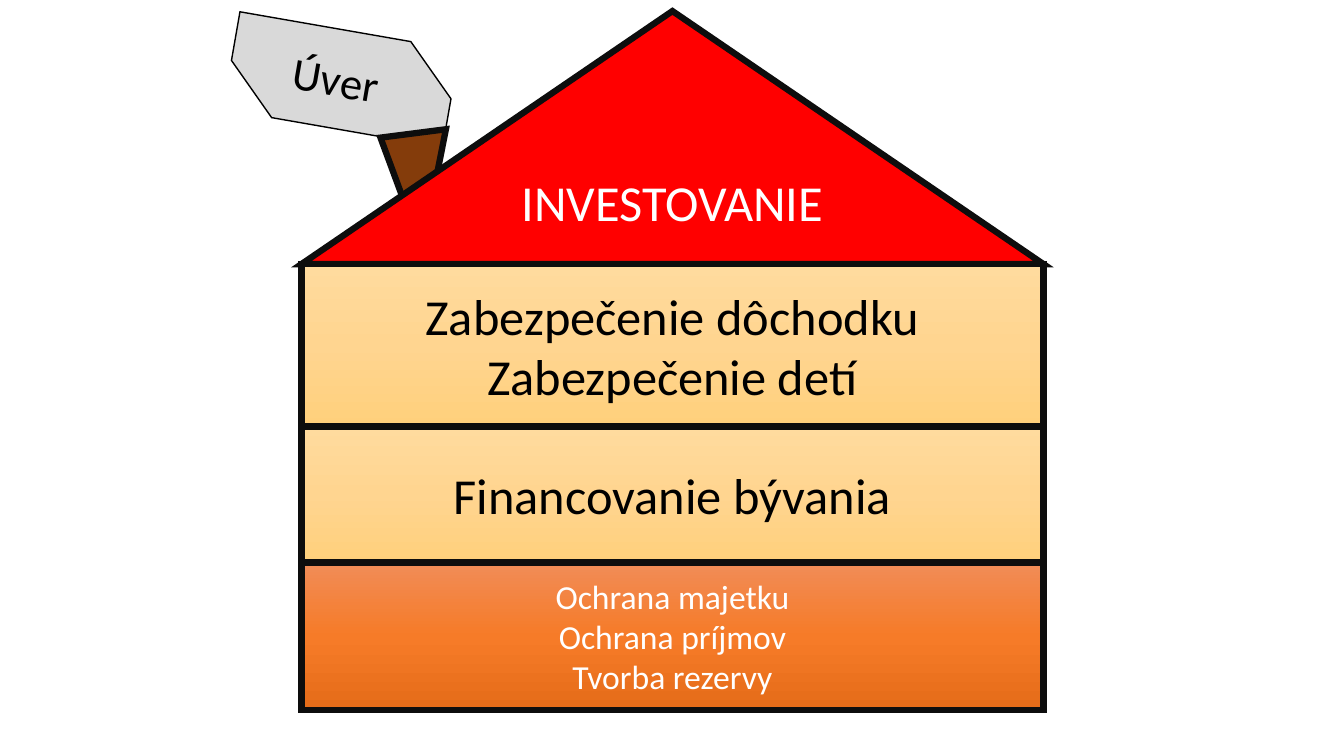
"""Build a slide showing personal finance as a house of stacked floors."""
from copy import deepcopy
from dataclasses import dataclass
from itertools import accumulate

from lxml.etree import SubElement
from pptx import Presentation
from pptx.dml.color import RGBColor
from pptx.dml.fill import FillFormat
from pptx.enum.shapes import MSO_SHAPE
from pptx.enum.text import MSO_ANCHOR, PP_ALIGN
from pptx.oxml.ns import qn
from pptx.slide import Slide
from pptx.util import Inches, Pt

SLIDE_WIDTH, SLIDE_HEIGHT = Inches(13.33), Inches(7.5)
HOUSE_LEFT, HOUSE_WIDTH = 22.43, 55.21
ROOF_TOP = 1.47
STOREY_HEIGHTS = (33.47, 21.47, 18, 19.47)
OUTLINE = "0D0D0D"
WALL = ("FFDB9E", "FFD590", "FFD07C")
BASE = ("F18C57", "F67B28", "E56C19")


@dataclass
class Part:
    """A piece of the house, placed in percent of the slide's size."""
    kind: MSO_SHAPE
    left: float
    top: float
    width: float
    height: float
    fill: tuple[str, ...]
    lines: tuple[str, ...] = ()
    size: int = 36
    ink: str = "000000"
    rotation: float = 0
    adjustments: tuple[float, ...] = ()
    outline: str = OUTLINE
    weight: float = 4.5
    first_indent: float = 0


def color(code: str) -> RGBColor:
    """Turn a hex string into a colour."""
    return RGBColor.from_string(code)


def storey(level: int, kind: MSO_SHAPE, fill: tuple[str, ...],
           lines: tuple[str, ...], **options) -> Part:
    """Describe a full-width storey, counted from the roof down."""
    tops = list(accumulate(STOREY_HEIGHTS, initial=ROOF_TOP))
    return Part(kind, HOUSE_LEFT, tops[level], HOUSE_WIDTH,
                STOREY_HEIGHTS[level], fill, lines, **options)


def paint(fill: FillFormat, codes: tuple[str, ...]) -> None:
    """Fill with one colour or with an even top-to-bottom gradient."""
    if len(codes) == 1:
        fill.solid()
        fill.fore_color.rgb = color(codes[0])
        return
    fill.gradient()
    fill.gradient_angle = 270
    stops = fill._xPr.find(qn("a:gradFill")).find(qn("a:gsLst"))
    while len(stops) < len(codes):
        stops.append(deepcopy(stops[0]))
    for index, (stop, code) in enumerate(zip(fill.gradient_stops, codes)):
        stop.color.rgb = color(code)
        stop.position = index / (len(codes) - 1)


def draw(page: Slide, part: Part) -> None:
    """Draw one part with its outline and centred text."""
    box = page.shapes.add_shape(
        part.kind,
        round(SLIDE_WIDTH * part.left / 100), round(SLIDE_HEIGHT * part.top / 100),
        round(SLIDE_WIDTH * part.width / 100), round(SLIDE_HEIGHT * part.height / 100))
    box.shadow.inherit = False
    box.rotation = part.rotation
    for index, value in enumerate(part.adjustments):
        box.adjustments[index] = value
    paint(box.fill, part.fill)
    box.line.width = Pt(part.weight)
    box.line.color.rgb = color(part.outline)
    SubElement(box.line._ln, qn("a:miter"), lim="800000")
    if not part.lines:
        return
    frame = box.text_frame
    frame.word_wrap = True
    frame.vertical_anchor = MSO_ANCHOR.MIDDLE
    frame.text = "\n".join(part.lines)
    for para in frame.paragraphs:
        para.alignment = PP_ALIGN.CENTER
        for span in para.runs:
            span.font.name = "Calibri"
            span.font.size = Pt(part.size)
            span.font.color.rgb = color(part.ink)
    if part.first_indent:
        properties = frame.paragraphs[0]._p.get_or_add_pPr()
        properties.set("marL", "0")
        properties.set("indent", str(Inches(part.first_indent)))


PARTS = (
    storey(3, MSO_SHAPE.RECTANGLE, BASE,
           ("Ochrana majetku", "Ochrana príjmov", "Tvorba rezervy"),
           size=24, ink="FFFFFF", first_indent=-0.3),
    storey(2, MSO_SHAPE.RECTANGLE, WALL, ("Financovanie bývania",)),
    Part(MSO_SHAPE.SNIP_2_DIAG_RECTANGLE, 17.1, 4, 16.58, 13.07, ("D9D9D9",),
         ("Úver ",), size=32, rotation=9.9, adjustments=(0, 0.5),
         outline="000000", weight=1),
    Part(MSO_SHAPE.ISOSCELES_TRIANGLE, 25.43, 20.13, 9.15, 8.27, ("843C0B",),
         rotation=281.2, adjustments=(0.83,)),
    storey(0, MSO_SHAPE.ISOSCELES_TRIANGLE, ("FF0000",), ("INVESTOVANIE",),
           ink="FFFFFF"),
    storey(1, MSO_SHAPE.RECTANGLE, WALL,
           ("Zabezpečenie dôchodku", "Zabezpečenie detí")),
)


def main() -> None:
    """Build and save the deck."""
    deck = Presentation()
    deck.slide_width, deck.slide_height = SLIDE_WIDTH, SLIDE_HEIGHT
    page = deck.slides.add_slide(deck.slide_layouts[6])
    for part in PARTS:
        draw(page, part)
    deck.save("out.pptx")


if __name__ == "__main__":
    main()
